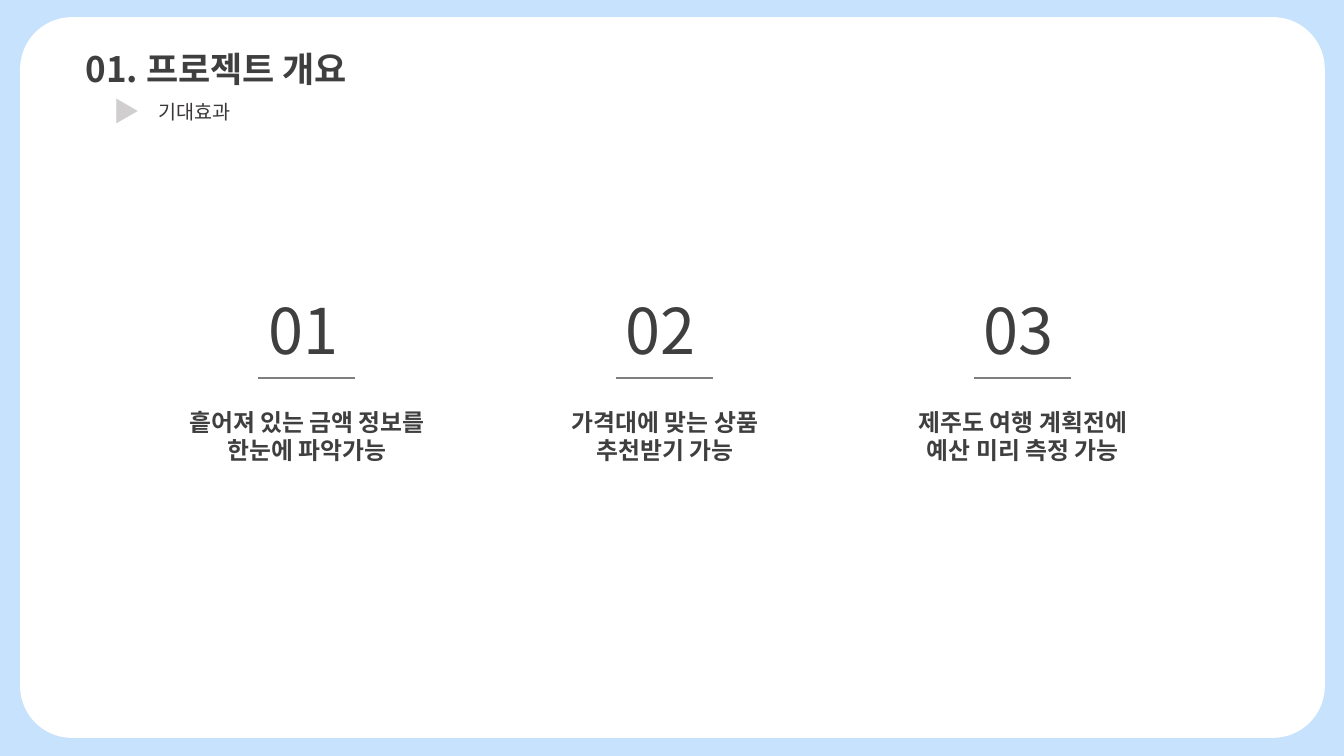
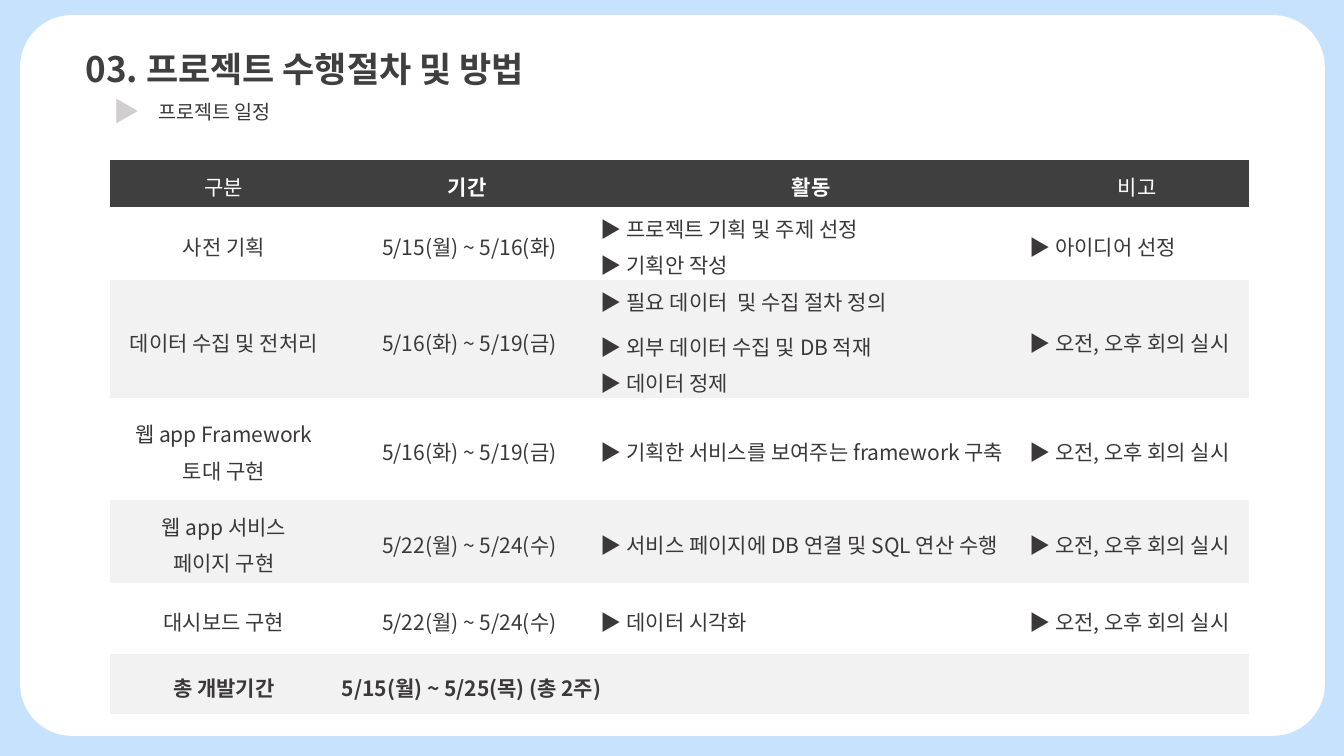
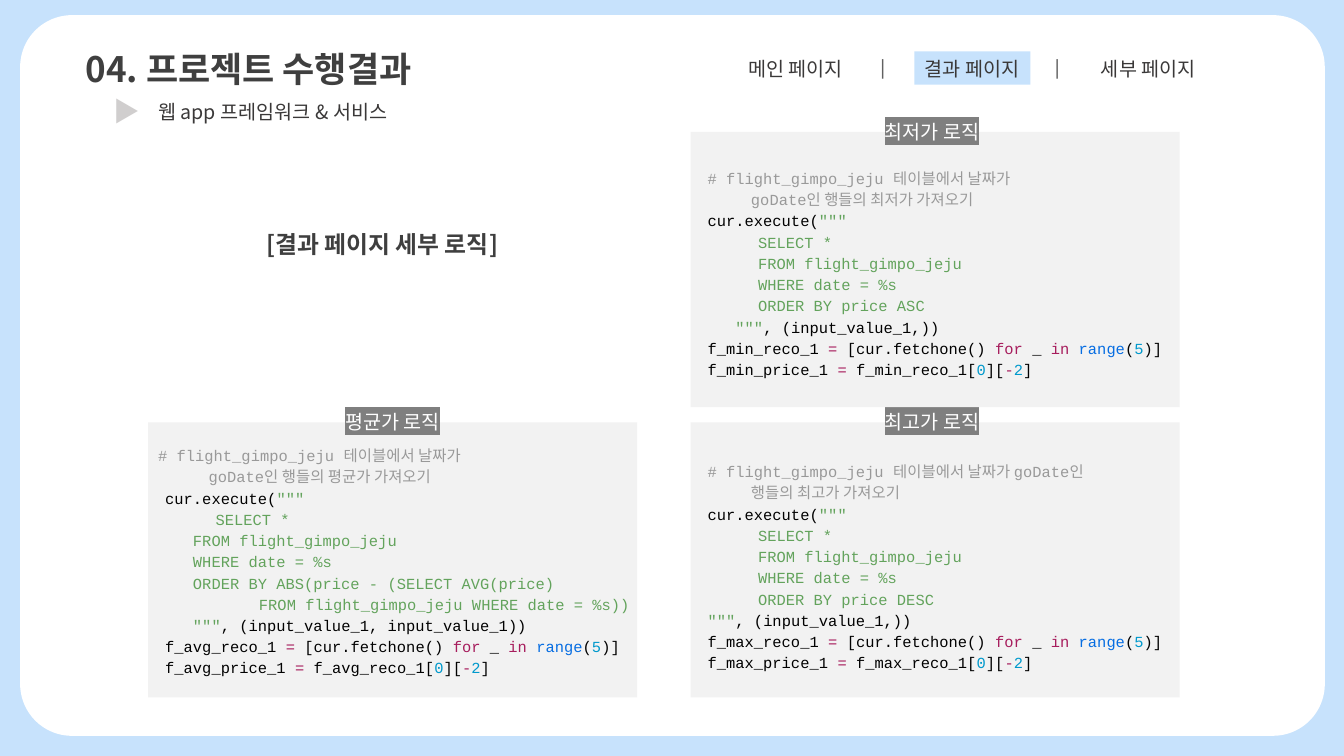
from dataclasses import dataclass

from lxml import etree
from pptx import Presentation
from pptx.dml.color import RGBColor
from pptx.enum.shapes import MSO_CONNECTOR, MSO_SHAPE
from pptx.enum.text import MSO_ANCHOR, MSO_AUTO_SIZE, PP_ALIGN
from pptx.oxml.ns import qn
from pptx.util import Inches, Pt

RECT, ROUND_RECT = MSO_SHAPE.RECTANGLE, MSO_SHAPE.ROUNDED_RECTANGLE
STRAIGHT = MSO_CONNECTOR.STRAIGHT
TOP, MIDDLE = MSO_ANCHOR.TOP, MSO_ANCHOR.MIDDLE
LEFT, CENTER = PP_ALIGN.LEFT, PP_ALIGN.CENTER
NO_FIT = MSO_AUTO_SIZE.NONE
NO_GRID_STYLE = "{2D5ABB26-0587-4C30-8999-92F81FD0307C}"


class Theme:
    korean, mono, code = "Noto Sans CJK KR", "Noto Sans Mono", "Courier New"
    sky, white, pale = "C7E2FC", "FFFFFF", "F2F2F2"
    dark, ink, rule = "3F3F3F", "3A3838", "7F7F7F"
    syntax = {
        "comment": "999999", "plain": "010101", "string": "63A35C",
        "keyword": "A71D5D", "builtin": "066DE2", "number": "0099CC",
    }
    # Per text style: font values and colour
    styles = {
        "title": ({"name": korean, "size": Pt(25), "bold": True}, dark),
        "subtitle": ({"name": korean, "size": Pt(14)}, ink),
        "marker": ({"name": korean, "size": Pt(19), "bold": True}, "D0CECE"),
        "number": ({"name": korean, "size": Pt(45)}, dark),
        "caption": ({"name": korean, "size": Pt(17), "bold": True}, dark),
        "header": ({"name": korean, "size": Pt(15)}, white),
        "header bold": ({"name": korean, "size": Pt(15), "bold": True}, white),
        "cell": ({"name": korean, "size": Pt(15), "bold": False}, ink),
        "total": ({"name": korean, "size": Pt(15), "bold": True}, ink),
        "separator": ({"name": mono, "size": Pt(14)}, "616161"),
        "code": ({"name": code, "size": Pt(11)}, "010101"),
        "label": ({"name": korean, "size": Pt(14)}, white),
    }


@dataclass
class CodeLine:
    runs: list
    margin: float = 0.07
    first: float = 0


# Text helpers
def rgb(value):
    return RGBColor.from_string(value)


def style_run(run, style, color=None):
    values, style_color = Theme.styles[style]
    for attribute, value in values.items():
        setattr(run.font, attribute, value)
    run.font.color.rgb = rgb(color or style_color)
    latin = run.font._element.find(qn("a:latin"))
    east_asian = etree.Element(qn("a:ea"), typeface=Theme.korean)
    latin.addnext(east_asian)


def write(frame, lines, style, align=LEFT, spacing=None):
    for index, line in enumerate(lines):
        paragraph = frame.add_paragraph() if index else frame.paragraphs[0]
        paragraph.alignment = align
        if spacing:
            paragraph.line_spacing = spacing
        if isinstance(line, CodeLine):
            properties = paragraph._p.get_or_add_pPr()
            properties.set("marL", str(Inches(line.margin)))
            properties.set("indent", str(Inches(line.first)))
            runs = [(text, Theme.syntax[kind]) for text, kind in line.runs]
        else:
            runs = [(line, None)]
        for text, color in runs:
            run = paragraph.add_run()
            run.text = text
            style_run(run, style, color)


def set_frame(frame, anchor=TOP, pad_y=0.1):
    values = {
        "word_wrap": True, "auto_size": NO_FIT, "vertical_anchor": anchor,
        "margin_left": Inches(0.1), "margin_right": Inches(0.1),
        "margin_top": Inches(pad_y), "margin_bottom": Inches(pad_y),
    }
    for attribute, value in values.items():
        setattr(frame, attribute, value)


def add_text(slide, box, lines, style, align=LEFT, anchor=TOP, pad_y=0.1, spacing=None):
    frame = slide.shapes.add_textbox(*map(Inches, box)).text_frame
    set_frame(frame, anchor, pad_y)
    write(frame, lines, style, align, spacing)
    return frame


# Shape helpers
def add_block(slide, kind, box, color):
    block = slide.shapes.add_shape(kind, *map(Inches, box))
    block.shadow.inherit = False
    block.fill.solid()
    block.fill.fore_color.rgb = rgb(color)
    block.line.fill.background()
    return block


def add_rule(slide, left, top, width):
    rule = slide.shapes.add_connector(
        STRAIGHT, Inches(left), Inches(top), Inches(left + width), Inches(top))
    rule.line.color.rgb = rgb(Theme.rule)
    rule.line.width = Pt(0.75)
    etree.SubElement(rule._element.spPr, qn("a:effectLst"))


def add_page(prs, title, subtitle, card_top=0.15):
    slide = prs.slides.add_slide(prs.slide_layouts[5])

    # White card, behind the title
    card = add_block(slide, ROUND_RECT, (0.2, card_top, 12.94, 7.15), Theme.white)
    card.adjustments[0] = 0.072
    slide.shapes._spTree.insert(2, card._element)

    # Title and subtitle
    heading = slide.shapes.title
    heading.left, heading.top, heading.width, heading.height = map(
        Inches, (0.75, 0.47, 5.14, 0.42))
    set_frame(heading.text_frame, pad_y=0)
    write(heading.text_frame, [title], "title")
    add_text(slide, (1.47, 0.89, 2.67, 0.44), [subtitle], "subtitle")
    add_text(slide, (1.03, 0.89, 0.55, 0.42), ["▶"], "marker", pad_y=0.05)
    return slide


# Slide 1: expected benefits
def build_benefits(prs):
    slide = add_page(prs, "01. 프로젝트 개요", "기대효과", card_top=0.17)
    benefits = [
        ["흩어져 있는 금액 정보를", "한눈에 파악가능"],
        ["가격대에 맞는 상품", "추천받기 가능"],
        ["제주도 여행 계획전에", "예산 미리 측정 가능"],
    ]
    for index, benefit in enumerate(benefits):
        left = 2.56 + 3.55 * index
        add_text(slide, (left, 2.79, 0.98, 0.96), [f"{index + 1:02}"], "number")
        add_rule(slide, left, 3.75, 0.96)
        add_text(slide, (left - 1.11, 3.94, 3.19, 0.77), benefit, "caption", CENTER)


# Slide 2: schedule
def fill_cell(cell, lines, style, color, align, tight):
    cell.fill.solid()
    cell.fill.fore_color.rgb = rgb(color)
    cell.vertical_anchor = MIDDLE
    if tight:
        cell.margin_left = Inches(0.04)
        cell.margin_top = cell.margin_right = cell.margin_bottom = 0
    write(cell.text_frame, lines, style, align, spacing=1.2)


def build_schedule(prs):
    slide = add_page(prs, "03. 프로젝트 수행절차 및 방법", "프로젝트 일정")
    meeting = ["▶ 오전, 오후 회의 실시"]
    headers = ["구분", "기간", "활동", "비고"]
    stages = [
        (["사전 기획"], ["5/15(월) ~ 5/16(화)"],
         ["▶ 프로젝트 기획 및 주제 선정", "▶ 기획안 작성"], ["▶ 아이디어 선정"]),
        (["데이터 수집 및 전처리"], ["5/16(화) ~ 5/19(금)"],
         ["▶ 필요 데이터  및 수집 절차 정의", "▶ 외부 데이터 수집 및 DB 적재",
          "▶ 데이터 정제"], meeting),
        (["웹 app Framework", "토대 구현"], ["5/16(화) ~ 5/19(금)"],
         ["▶ 기획한 서비스를 보여주는 framework 구축"], meeting),
        (["웹 app 서비스", "페이지 구현"], ["5/22(월) ~ 5/24(수)"],
         ["▶ 서비스 페이지에 DB 연결 및 SQL 연산 수행"], meeting),
        (["대시보드 구현"], ["5/22(월) ~ 5/24(수)"], ["▶ 데이터 시각화"], meeting),
    ]
    widths = [2.26, 2.57, 4.25, 2.22]
    heights = [0.41, 0.63, 1.07, 1.01, 0.73, 0.71, 0.59]
    box = (1.09, 1.59, sum(widths), sum(heights))
    schedule = slide.shapes.add_table(
        len(heights), len(widths), *map(Inches, box)).table
    schedule.first_row = schedule.horz_banding = False
    schedule._tbl.tblPr.find(qn("a:tableStyleId")).text = NO_GRID_STYLE
    for column, width in zip(schedule.columns, widths):
        column.width = Inches(width)
    for row, height in zip(schedule.rows, heights):
        row.height = Inches(height)

    # Header row
    for index, header in enumerate(headers):
        style = "header bold" if index in (1, 2) else "header"
        fill_cell(schedule.cell(0, index), [header], style, Theme.dark, CENTER, False)

    # Stage rows
    for number, stage in enumerate(stages, start=1):
        color = Theme.white if number % 2 else Theme.pale
        for index, lines in enumerate(stage):
            align = CENTER if index < 2 else LEFT
            fill_cell(schedule.cell(number, index), lines, "cell", color, align, index > 0)
    schedule.cell(2, 2).text_frame.paragraphs[1].space_before = Pt(6)

    # Total row
    last = len(heights) - 1
    schedule.cell(last, 1).merge(schedule.cell(last, 3))
    fill_cell(schedule.cell(last, 0), ["총 개발기간"], "total", Theme.pale, CENTER, False)
    fill_cell(schedule.cell(last, 1), ["5/15(월) ~ 5/25(목) (총 2주)"],
              "total", Theme.pale, LEFT, True)


# Slide 3: query logic
def comment(text, margin=0.07, first=0):
    return CodeLine([(text, "comment")], margin, first)


def sql(text, margin=0.07, first=0):
    return CodeLine([(text, "string")], margin, first)


def query_code(name, comments, query, closing, arguments):
    return [
        *comments,
        CodeLine([("cur.execute(", "plain"), ('"""', "string")]),
        *query,
        CodeLine([(closing, "string"), (f", ({arguments}))", "plain")]),
        CodeLine([
            (f"f_{name}_reco_1 ", "plain"), ("=", "keyword"),
            (" [cur.fetchone() ", "plain"), ("for", "keyword"), (" _ ", "plain"),
            ("in ", "keyword"), ("range", "builtin"), ("(", "plain"),
            ("5", "number"), (")]", "plain")]),
        CodeLine([
            (f"f_{name}_price_1 ", "plain"), ("=", "keyword"),
            (f" f_{name}_reco_1[", "plain"), ("0", "number"), ("][", "plain"),
            ("-", "keyword"), ("2", "number"), ("]", "plain")]),
    ]


def ordered_query(direction):
    clauses = ["SELECT *", "FROM flight_gimpo_jeju", "WHERE date = %s",
               f"ORDER BY price {direction}"]
    return [sql("\t" + clause) for clause in clauses]


def add_code_panel(slide, label, left, top, label_left, code_offset, code):
    add_block(slide, RECT, (left, top, 4.85, 2.73), Theme.pale)
    add_text(slide, (left, top + code_offset, 4.98, 2.52), code, "code", spacing=1.15)
    frame = add_text(slide, (label_left, top - 0.25, 1.33, 0.49), [label],
                     "label", CENTER, MIDDLE)
    latin = frame.paragraphs[0].runs[0].font._element.find(qn("a:latin"))
    highlight = etree.Element(qn("a:highlight"))
    etree.SubElement(highlight, qn("a:srgbClr"), val=Theme.rule)
    latin.addprevious(highlight)


def build_logic(prs):
    slide = add_page(prs, "04. 프로젝트 수행결과", "웹 app 프레임워크 & 서비스")

    # Page tabs
    add_block(slide, RECT, (9.07, 0.51, 1.15, 0.33), Theme.sky)
    for index, tab in enumerate(["메인 페이지", "결과 페이지", "세부 페이지"]):
        add_text(slide, (7.1 + 1.75 * index, 0.46, 1.58, 0.44), [tab],
                 "subtitle", CENTER, MIDDLE)
        if index:
            add_text(slide, (6.87 + 1.73 * index, 0.44, 0.46, 0.44), ["|"], "separator")

    add_text(slide, (2.41, 2.18, 2.76, 0.49), ["[결과 페이지 세부 로직]"],
             "caption", CENTER, MIDDLE)

    # Code panels
    table_note = "# flight_gimpo_jeju 테이블에서 날짜가"
    average_query = [
        sql("\tSELECT *"),
        sql("   FROM flight_gimpo_jeju"),
        sql("   WHERE date = %s"),
        sql("   ORDER BY ABS(price - (SELECT AVG(price)"),
        sql("FROM flight_gimpo_jeju WHERE date = %s))", 0.57, 0.43),
    ]
    average = query_code(
        "avg",
        [comment(table_note, 0), comment("goDate인 행들의 평균가 가져오기", 0, 0.5)],
        average_query, '   """', "input_value_1, input_value_1")
    highest = query_code(
        "max",
        [comment(table_note + " goDate인"), comment("행들의 최고가 가져오기", first=0.43)],
        ordered_query("DESC"), '"""', "input_value_1,")
    lowest = query_code(
        "min",
        [comment(table_note), comment("goDate인 행들의 최저가 가져오기", first=0.43)],
        ordered_query("ASC"), '   """', "input_value_1,")
    add_code_panel(slide, "평균가 로직", 1.47, 4.19, 3.23, 0.11, average)
    add_code_panel(slide, "최고가 로직", 6.85, 4.19, 8.58, 0.27, highest)
    add_code_panel(slide, "최저가 로직", 6.85, 1.31, 8.58, 0.24, lowest)


def main():
    prs = Presentation()
    prs.slide_width, prs.slide_height = Inches(13.33), Inches(7.5)
    backdrop = prs.slide_master.background.fill
    backdrop.solid()
    backdrop.fore_color.rgb = rgb(Theme.sky)
    build_benefits(prs)
    build_schedule(prs)
    build_logic(prs)
    prs.save("out.pptx")


if __name__ == "__main__":
    main()
